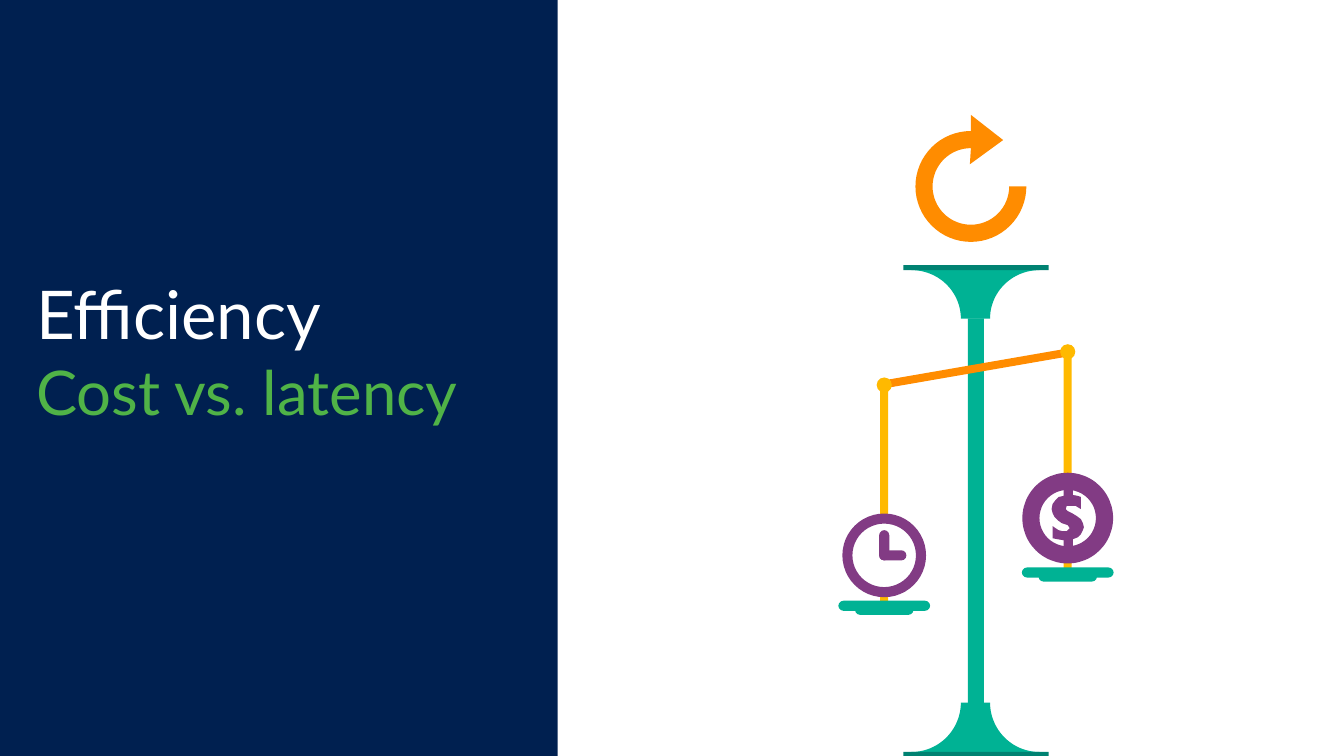
from math import cos, pi, sin

from pptx import Presentation
from pptx.dml.color import RGBColor as RGB
from pptx.enum.shapes import MSO_SHAPE as Kind
from pptx.enum.text import MSO_ANCHOR as Anchor
from pptx.util import Inches, Pt

HUES = {
    "navy": "002050", "white": "FFFFFF", "green": "50B347", "teal": "00B294",
    "dark": "008272", "orange": "FF8C00", "gold": "FFB900", "plum": "823B84",
}
DOLLAR = [
    (10.75, 5.23), (10.74, 5.26), (10.72, 5.3), (10.69, 5.33), (10.64, 5.35),
    (10.64, 5.43), (10.55, 5.43), (10.55, 5.36), (10.49, 5.35), (10.44, 5.34),
    (10.44, 5.22), (10.5, 5.26), (10.54, 5.27), (10.58, 5.27), (10.6, 5.25),
    (10.61, 5.24), (10.59, 5.21), (10.53, 5.19), (10.49, 5.16), (10.46, 5.13),
    (10.44, 5.09), (10.43, 5.05), (10.44, 5), (10.47, 4.96), (10.5, 4.93),
    (10.55, 4.92), (10.55, 4.85), (10.64, 4.85), (10.64, 4.91), (10.69, 4.92),
    (10.72, 4.93), (10.72, 5.05), (10.67, 5.02), (10.62, 5.02), (10.58, 5.02),
    (10.57, 5.05), (10.59, 5.07), (10.63, 5.09), (10.68, 5.12), (10.72, 5.15),
    (10.74, 5.19),
]


def paint(shape, hue):
    """Give a shape a flat fill with no line or shadow."""
    shape.shadow.inherit = False
    shape.fill.solid()
    shape.fill.fore_color.rgb = RGB.from_string(HUES[hue])
    shape.line.fill.background()


def add_form(slide, kind, box, hue, adjust=None):
    """Add a preset shape in a left, top, width, height box."""
    shape = slide.shapes.add_shape(kind, *map(Inches, box))
    if adjust is not None:
        shape.adjustments[0] = adjust
    paint(shape, hue)


def add_disc(slide, x, y, size, hue, band=None):
    """Add a disc, or a ring of the given band, around a centre."""
    kind = Kind.OVAL if band is None else Kind.DONUT
    box = (x - size / 2, y - size / 2, size, size)
    add_form(slide, kind, box, hue, None if band is None else band / size)


def add_shape(slide, points, hue):
    """Add a closed outline through points in inches."""
    first, *rest = [(Inches(x), Inches(y)) for x, y in points]
    pen = slide.shapes.build_freeform(*first)
    pen.add_line_segments(rest, close=True)
    paint(pen.convert_to_shape(), hue)


def arc(x, y, wide, high, start, end, steps=48):
    """List points along an arc, with angles in quarter turns."""
    turns = [(start + (end - start) * i / steps) * pi / 2 for i in range(steps + 1)]
    return [(x + wide * cos(t), y + high * sin(t)) for t in turns]


def add_flare(slide, y, high):
    """Add a flared column end whose neck lies at y."""
    left = arc(9.04, y, 0.49, high, -1, 0)
    right = arc(10.31, y, 0.49, high, -2, -1)
    add_shape(slide, left + right, "teal")


def add_loop(slide):
    """Add the round arrow on top of the column."""
    x, y = 9.63, 1.85
    head = [(9.63, 1.14), (9.95, 1.39), (9.62, 1.63)]
    outer = arc(x, y, 0.55, 0.55, 0, 3)
    inner = arc(x, y, 0.38, 0.38, 3, 0)
    add_shape(slide, outer + head + inner, "orange")


def add_pan(slide, x, y):
    """Add a two-step pan centred on x with its top at y."""
    for wide, drop in ((0.58, 0.04), (0.91, 0)):
        box = (x - wide / 2, y + drop, wide, 0.1)
        add_form(slide, Kind.ROUNDED_RECTANGLE, box, "teal", 0.5)


def add_clock(slide, x, y):
    """Add a clock face around a centre."""
    add_disc(slide, x, y, 0.7, "white")
    add_disc(slide, x, y, 0.83, "plum", 0.1)
    for wide, high in ((0.1, 0.3), (0.27, 0.1)):
        box = (x - 0.05, y + 0.05 - high, wide, high)
        add_form(slide, Kind.ROUNDED_RECTANGLE, box, "plum", 0.5)


def add_coin(slide, x, y):
    """Add a coin with a dollar sign around a centre."""
    add_disc(slide, x, y, 0.74, "white")
    add_disc(slide, x, y, 0.9, "plum", 0.17)
    add_shape(slide, DOLLAR, "plum")


def add_title(slide, box, lines):
    """Add the heading, with text, size and hue for each line."""
    frame = slide.shapes.add_textbox(*map(Inches, box)).text_frame
    frame.word_wrap = True
    frame.vertical_anchor = Anchor.TOP
    frame.margin_left = frame.margin_right = Inches(0.2)
    frame.margin_top = frame.margin_bottom = Inches(0.16)
    frame.text = "\n".join(text for text, _, _ in lines)
    for para, (_, size, hue) in zip(frame.paragraphs, lines):
        para.line_spacing = 0.9
        para.space_after = Pt(6)
        font = para.runs[0].font
        font.name = "Lato"
        font.size = Pt(size)
        font.color.rgb = RGB.from_string(HUES[hue])


def add_scale(slide):
    """Add the column, the beam and both loaded arms."""
    add_flare(slide, 3.16, 0.48)
    add_flare(slide, 6.97, -0.49)
    add_form(slide, Kind.RECTANGLE, (9.6, 3.16, 0.16, 4.3), "teal")
    for y in (2.63, 7.46):
        add_form(slide, Kind.RECTANGLE, (8.96, y, 1.44, 0.05), "dark")
    beam = [(10.63, 3.45), (10.63, 3.53), (8.73, 3.86), (8.73, 3.78)]
    add_shape(slide, beam, "orange")
    for x, y, pan in ((10.59, 3.45, 5.63), (8.77, 3.78, 5.96)):
        add_form(slide, Kind.RECTANGLE, (x - 0.04, y, 0.08, 2.23), "gold")
        add_disc(slide, x, y + 0.04, 0.15, "gold")
        add_pan(slide, x, pan)
    add_coin(slide, 10.59, 5.14)
    add_clock(slide, 8.77, 5.51)


def main():
    """Build the slide and save it."""
    deck = Presentation()
    deck.slide_width, deck.slide_height = Inches(13.33), Inches(7.5)
    slide = deck.slides.add_slide(deck.slide_layouts[6])
    back = slide.background.fill
    back.solid()
    back.fore_color.rgb = RGB.from_string(HUES["navy"])
    add_form(slide, Kind.RECTANGLE, (5.53, 0, 7.8, 7.5), "white")
    add_title(slide, (0.16, 2.63, 5.37, 1.8), [
        ("Efficiency", 48, "white"),
        ("Cost vs. latency", 44, "green"),
    ])
    add_loop(slide)
    add_scale(slide)
    deck.save("out.pptx")


if __name__ == "__main__":
    main()
